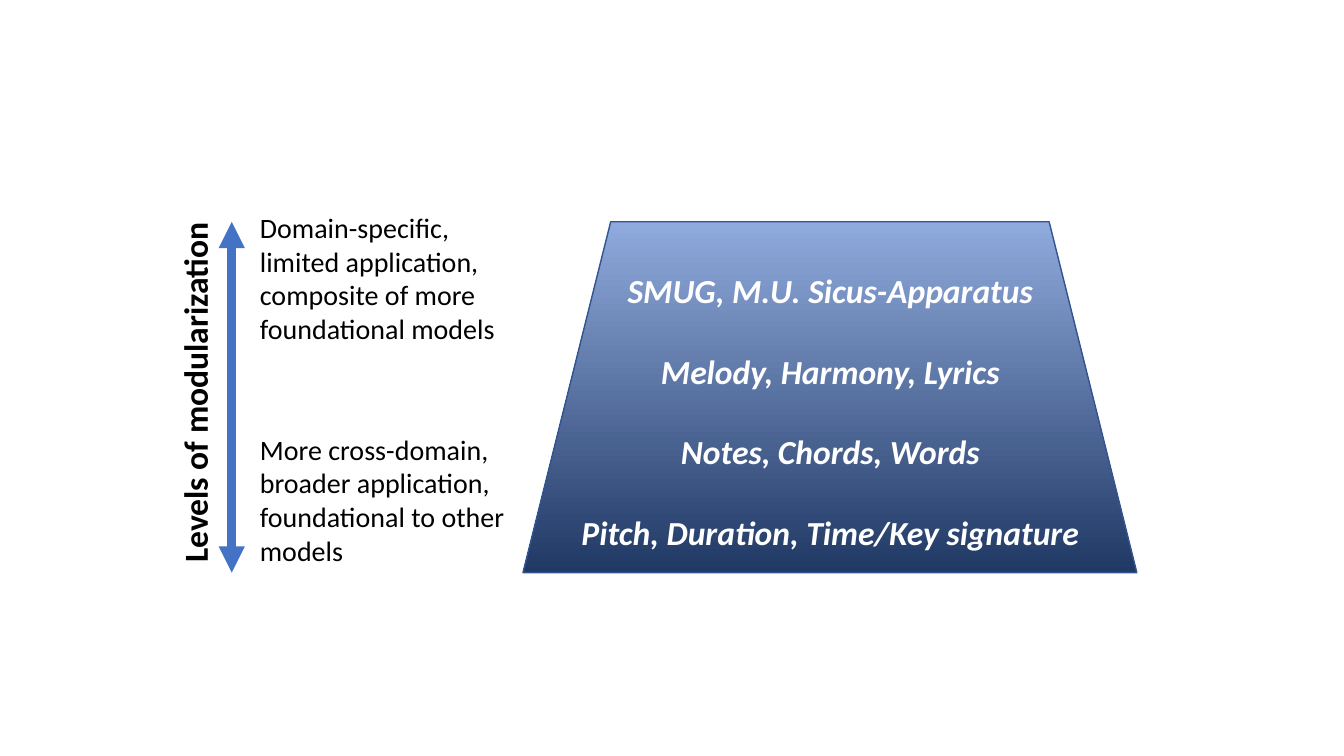
from dataclasses import dataclass

from lxml import etree
from pptx import Presentation
from pptx.dml.color import RGBColor
from pptx.enum.shapes import MSO_CONNECTOR, MSO_SHAPE
from pptx.enum.text import PP_ALIGN
from pptx.oxml.ns import qn
from pptx.util import Cm, Pt

LEFT, CENTER = PP_ALIGN.LEFT, PP_ALIGN.CENTER
STRAIGHT = MSO_CONNECTOR.STRAIGHT
TRAPEZOID = MSO_SHAPE.TRAPEZOID

FONT = "Calibri"
BLACK, WHITE, ARROW_BLUE = "000000", "FFFFFF", "4472C4"
PYRAMID_TOP, PYRAMID_BASE, PYRAMID_EDGE = "8FAADC", "203864", "325491"

TOP, HEIGHT = 5.59, 8.84
ARROW_X = 5.84
NOTE_LEFT, NOTE_HEIGHT = 6.3, 3.68


@dataclass(frozen=True)
class Note:
    """Description of one end of the modularization scale."""
    text: str
    top: float
    width: float


NOTES = [
    Note("Domain-specific, limited application, composite of more "
         "foundational models", 5.18, 6.71),
    Note("More cross-domain, broader application, foundational to other "
         "models", 10.77, 6.88),
]
LEVELS = [
    "SMUG, M.U. Sicus-Apparatus",
    "Melody, Harmony, Lyrics",
    "Notes, Chords, Words",
    "Pitch, Duration, Time/Key signature",
]


def rgb(value: str) -> RGBColor:
    """Turn a hex string into a colour."""
    return RGBColor.from_string(value)


def add_text(page, lines: list[str], left: float, top: float, width: float,
             height: float, *, size: float = 20, color: str = BLACK,
             bold: bool = False, italic: bool = False, align=LEFT,
             spacing: float = 1.0, rotation: float = 0) -> None:
    """Add a text box with one paragraph per line; lengths are in cm."""
    box = page.shapes.add_textbox(Cm(left), Cm(top), Cm(width), Cm(height))
    box.rotation = rotation
    frame = box.text_frame
    frame.word_wrap = True
    for index, line in enumerate(lines):
        para = frame.add_paragraph() if index else frame.paragraphs[0]
        para.alignment = align
        para.line_spacing = spacing
        span = para.add_run()
        span.text = line
        span.font.name = FONT
        span.font.size = Pt(size)
        span.font.bold = bold
        span.font.italic = italic
        span.font.color.rgb = rgb(color)


def add_scale_arrow(page) -> None:
    """Draw the vertical double-headed arrow."""
    arrow = page.shapes.add_connector(
        STRAIGHT, Cm(ARROW_X), Cm(TOP), Cm(ARROW_X), Cm(TOP + HEIGHT))
    arrow.line.color.rgb = rgb(ARROW_BLUE)
    arrow.line.width = Pt(6.25)
    outline = arrow.line._get_or_add_ln()
    for end in ("a:headEnd", "a:tailEnd"):
        etree.SubElement(outline, qn(end), type="triangle")
    etree.SubElement(arrow._element.spPr, qn("a:effectLst"))


def add_pyramid(page) -> None:
    """Draw the trapezoid that shades from light at the top to dark."""
    pyramid = page.shapes.add_shape(
        TRAPEZOID, Cm(13.18), Cm(TOP), Cm(15.47), Cm(HEIGHT))
    pyramid.shadow.inherit = False
    pyramid.fill.gradient()
    pyramid.fill.gradient_angle = 270
    for stop, color in zip(pyramid.fill.gradient_stops,
                           (PYRAMID_TOP, PYRAMID_BASE)):
        stop.color.rgb = rgb(color)
    pyramid.line.color.rgb = rgb(PYRAMID_EDGE)
    pyramid.line.width = Pt(1)


def main() -> None:
    """Build the slide and save the deck."""
    deck = Presentation()
    deck.slide_width, deck.slide_height = Cm(33.87), Cm(19.05)
    page = deck.slides.add_slide(deck.slide_layouts[6])

    for note in NOTES:
        add_text(page, [note.text], NOTE_LEFT, note.top, note.width,
                 NOTE_HEIGHT)
    add_scale_arrow(page)
    add_text(page, ["Levels of modularization"], 0.13, 9.02, 9.55, 1.27,
             size=24, bold=True, rotation=270)
    add_pyramid(page)
    add_text(page, LEVELS, 12.34, 5.66, 17.17, 8.46, size=24, color=WHITE,
             bold=True, italic=True, align=CENTER, spacing=2.0)
    deck.save("out.pptx")


main()
